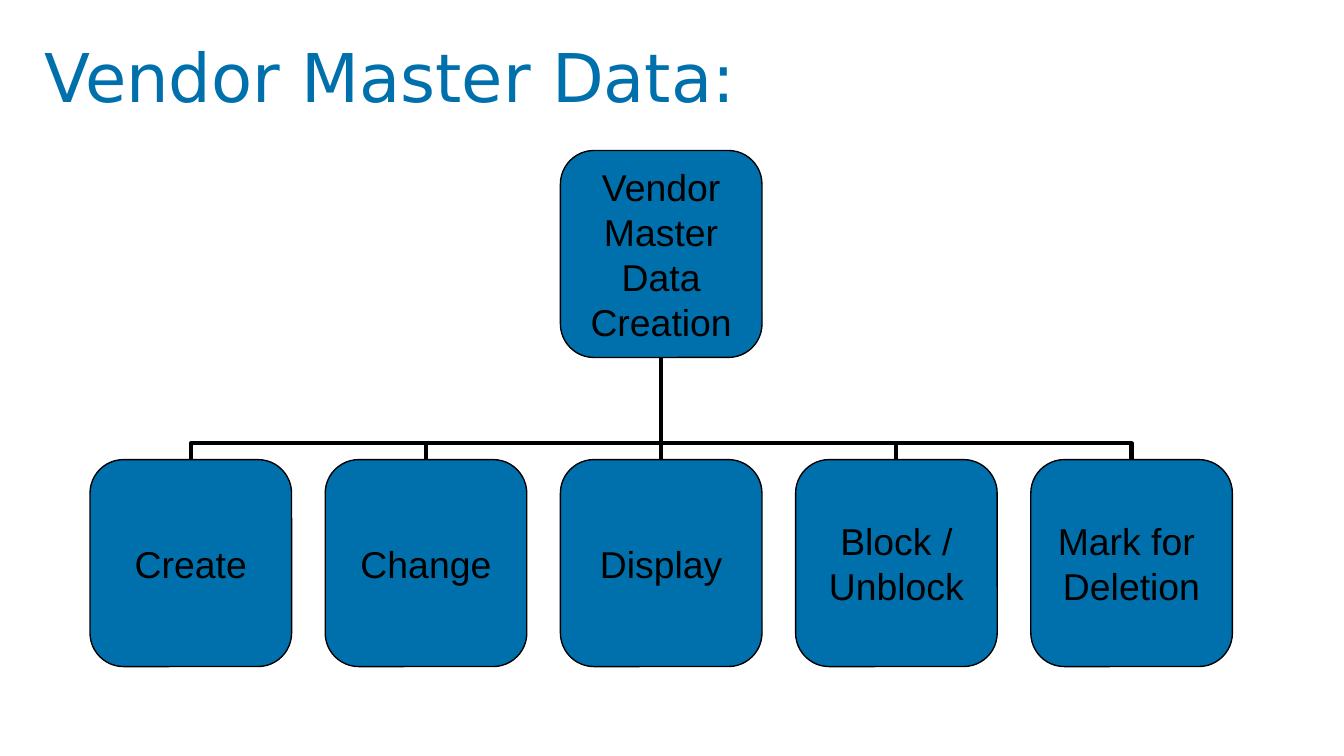
from dataclasses import dataclass

from lxml import etree
from pptx import Presentation, util as u
from pptx.dml.color import RGBColor
from pptx.enum import shapes as kinds, text as txt
from pptx.oxml.ns import qn


@dataclass(frozen=True)
class Theme:
    blue: str = "0070AD"
    black: str = "000000"
    title_font: str = "DejaVu Sans"
    box_font: str = "Arial"
    title_size: float = 36
    box_size: float = 20
    outline: float = 0.75
    branch: float = 2.25


@dataclass(frozen=True)
class Grid:
    left: float = 0.67
    top: float = 1.12
    column_step: float = 1.75
    row_step: float = 2.3
    width: float = 1.5
    height: float = 1.54

    def cell(self, column: int, row: int) -> tuple:
        return tuple(u.Inches(length) for length in (
            self.left + column * self.column_step,
            self.top + row * self.row_step, self.width, self.height))


@dataclass(frozen=True)
class Box:
    lines: tuple
    column: int
    row: int = 1


THEME = Theme()
GRID = Grid()
SLIDE_WIDTH = u.Inches(10)
SLIDE_HEIGHT = SLIDE_WIDTH * 9 // 16
BEND = 0.16  # share of the rise from a child up to the shared bar
ROOT = Box(("Vendor", " Master ", "Data", "Creation"), column=2, row=0)
ACTIONS = [Box(lines, column) for column, lines in enumerate([
    ("Create",), ("Change",), ("Display",),
    ("Block /", "Unblock"), ("Mark for ", "Deletion")])]


def write(shape, lines, *, font: str, size: float, color: str,
          align=txt.PP_ALIGN.LEFT, anchor=txt.MSO_ANCHOR.TOP,
          wrap: bool = True, spacing: float = 1.0) -> None:
    frame = shape.text_frame
    frame.margin_left = frame.margin_right = 0
    frame.margin_top = frame.margin_bottom = 0
    frame.word_wrap = wrap
    frame.vertical_anchor = anchor
    frame.text = "\n".join(lines)
    for paragraph in frame.paragraphs:
        paragraph.alignment = align
        paragraph.line_spacing = spacing
        run_font = paragraph.runs[0].font
        run_font.name, run_font.size = font, u.Pt(size)
        run_font.color.rgb = RGBColor.from_string(color)


def draw_box(slide, box: Box):
    shape = slide.shapes.add_shape(
        kinds.MSO_SHAPE.ROUNDED_RECTANGLE, *GRID.cell(box.column, box.row))
    shape.shadow.inherit = False
    shape.fill.solid()
    shape.fill.fore_color.rgb = RGBColor.from_string(THEME.blue)
    shape.line.color.rgb = RGBColor.from_string(THEME.black)
    shape.line.width = u.Pt(THEME.outline)
    write(shape, box.lines, font=THEME.box_font, size=THEME.box_size,
          color=THEME.black, align=txt.PP_ALIGN.CENTER,
          anchor=txt.MSO_ANCHOR.MIDDLE, wrap=False)
    return shape


def draw_branch(slide, child, parent) -> None:
    """Elbow that rises from the child's top to the parent's bottom."""
    branch = slide.shapes.add_connector(kinds.MSO_CONNECTOR.ELBOW, 0, 0, 0, 0)
    branch.begin_connect(child, 0)
    branch.end_connect(parent, 2)
    branch.line.color.rgb = RGBColor.from_string(THEME.black)
    branch.line.width = u.Pt(THEME.branch)

    # A quarter turn makes the elbow leave vertically
    child_x = child.left + child.width // 2
    parent_x = parent.left + parent.width // 2
    parent_bottom = parent.top + parent.height
    rise, span = child.top - parent_bottom, abs(child_x - parent_x)
    from_left = child_x < parent_x
    properties = branch.element.spPr
    frame = properties.find(qn("a:xfrm"))
    for flip in ("flipH", "flipV"):
        frame.attrib.pop(flip, None)
    frame.set("rot", str((270 if from_left else 90) * 60000))
    if not from_left:
        frame.set("flipH", "1")
    branch.left = (child_x + parent_x - rise) // 2
    branch.top = (child.top + parent_bottom - span) // 2
    branch.width, branch.height = rise, span

    guides = properties.find(qn("a:prstGeom")).find(qn("a:avLst"))
    etree.SubElement(guides, qn("a:gd"), name="adj1",
                     fmla=f"val {round(BEND * 100000)}")
    etree.SubElement(properties, qn("a:effectLst"))
    parent.element.addprevious(branch.element)  # behind every box


def main() -> None:
    deck = Presentation()
    deck.slide_width, deck.slide_height = SLIDE_WIDTH, SLIDE_HEIGHT
    slide = deck.slides.add_slide(deck.slide_layouts[6])

    # Title
    title = slide.shapes.add_textbox(
        u.Inches(0.33), u.Inches(0.33), u.Inches(9.04), u.Inches(0.71))
    write(title, ["Vendor Master Data:"], font=THEME.title_font,
          size=THEME.title_size, color=THEME.blue, spacing=0.9)

    # Root and its actions
    root = draw_box(slide, ROOT)
    actions = [draw_box(slide, action) for action in ACTIONS]

    # Branches, from the last action to the first
    for action in reversed(actions):
        draw_branch(slide, action, root)

    deck.save("out.pptx")


if __name__ == "__main__":
    main()
